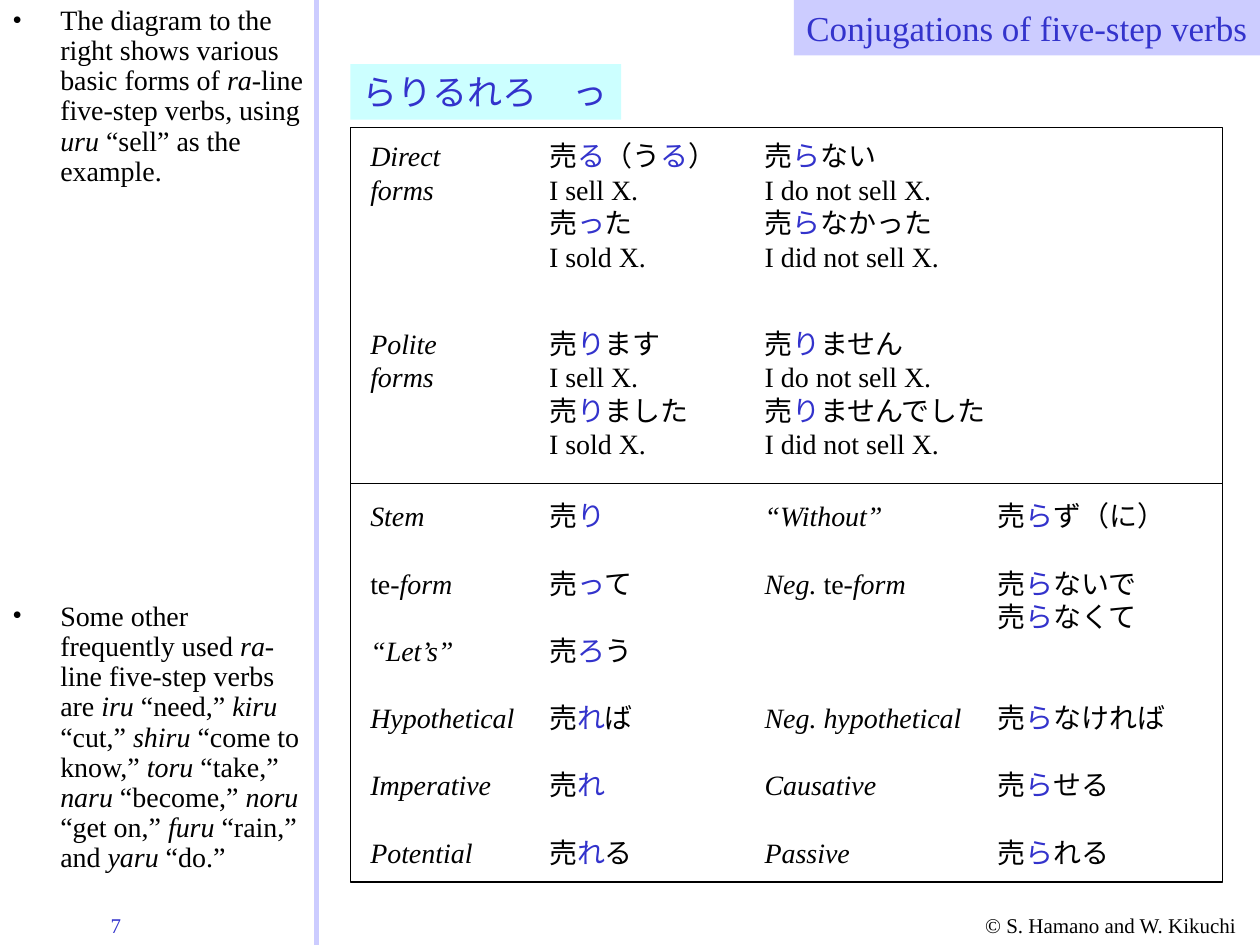
from dataclasses import dataclass

from lxml.etree import SubElement
from pptx import Presentation
from pptx.dml.color import RGBColor
from pptx.enum.shapes import MSO_CONNECTOR, MSO_SHAPE
from pptx.enum.text import MSO_ANCHOR, MSO_AUTO_SIZE, PP_ALIGN
from pptx.oxml.ns import qn
from pptx.util import Inches, Pt


@dataclass(frozen=True)
class Theme:
    font: str = "Times New Roman"
    ink: RGBColor = RGBColor(0, 0, 0)
    accent: RGBColor = RGBColor(0x33, 0x33, 0xCC)
    lavender: RGBColor = RGBColor(0xCC, 0xCC, 0xFF)
    aqua: RGBColor = RGBColor(0xCC, 0xFF, 0xFF)
    title: Pt = Pt(20)
    body: Pt = Pt(16)
    footer: Pt = Pt(12)


theme = Theme()
deck = Presentation()
deck.slide_width, deck.slide_height = Inches(10), Inches(7.5)
slide = deck.slides.add_slide(deck.slide_layouts[6])


def write(box, text, size=theme.body, color=theme.ink, wrap=True):
    """Fill a shape with lines of text; *...* is italic and _..._ is accented."""
    frame = box.text_frame
    frame.word_wrap = wrap
    frame.auto_size = MSO_AUTO_SIZE.SHAPE_TO_FIT_TEXT
    frame.vertical_anchor = MSO_ANCHOR.TOP
    for number, line in enumerate(text.split("\n")):
        paragraph = frame.add_paragraph() if number else frame.paragraphs[0]
        paragraph.alignment = PP_ALIGN.LEFT
        paragraph.font.name, paragraph.font.size = theme.font, size
        paragraph.font.color.rgb = color
        for i, chunk in enumerate(line.split("*")):
            for j, piece in enumerate(chunk.split("_")):
                if not piece:
                    continue
                run = paragraph.add_run()
                run.text = piece
                if i % 2:
                    run.font.italic = True
                if j % 2:
                    run.font.color.rgb = theme.accent
    return frame


def add_rectangle(left, top, width, height, fill=None, line=None):
    box = slide.shapes.add_shape(
        MSO_SHAPE.RECTANGLE, Inches(left), Inches(top), Inches(width), Inches(height))
    box.shadow.inherit = False
    if fill is None:
        box.fill.background()
    else:
        box.fill.solid()
        box.fill.fore_color.rgb = fill
    if line is None:
        box.line.fill.background()
    else:
        box.line.color.rgb = line
        box.line.width = Pt(0.75)
    return box


# Footer
credit = slide.shapes.add_textbox(Inches(7.72), Inches(7.19), Inches(2.28), Inches(0.3))
write(credit, "© S. Hamano and W. Kikuchi", theme.footer)
page_number = slide.shapes.add_textbox(Inches(0.78), Inches(7.19), Inches(0.89), Inches(0.3))
write(page_number, "7", theme.footer, theme.accent)

# Sidebar divider
divider = slide.shapes.add_connector(
    MSO_CONNECTOR.STRAIGHT, Inches(2.51), 0, Inches(2.51), deck.slide_height)
divider.line.color.rgb = theme.lavender
divider.line.width = Pt(3)
SubElement(divider._element.spPr, qn("a:effectLst"))

# Sidebar notes
notes = [
    (0, 1.75, "The diagram to the right shows various basic forms of *ra-*line "
     "five-step verbs, using *uru* “sell” as the example."),
    (4.73, 2.26, "Some other frequently used *ra-*line five-step verbs are *iru* “need,” "
     "*kiru* “cut,” *shiru* “come to know,” *toru* “take,” *naru* “become,” "
     "*noru* “get on,” *furu* “rain,” and *yaru* “do.”"),
]
for top, height, text in notes:
    note = slide.shapes.add_textbox(0, Inches(top), Inches(2.51), Inches(height))
    frame = write(note, text)
    frame.auto_size = MSO_AUTO_SIZE.NONE
    paragraph = frame.paragraphs[0]
    paragraph.line_spacing = 0.9
    properties = paragraph._p.get_or_add_pPr()
    properties.set("marL", str(Inches(0.38)))
    properties.set("indent", str(-Inches(0.38)))
    bullet_font = SubElement(properties, qn("a:buFont"), typeface=theme.font)
    bullet = SubElement(properties, qn("a:buChar"), char="•")
    for part in (bullet_font, bullet):
        properties.insert_element_before(part, "a:tabLst", "a:defRPr", "a:extLst")

# Headings
kana = add_rectangle(2.78, 0.51, 2.15, 0.44, fill=theme.aqua)
write(kana, "らりるれろ　っ", theme.title, theme.accent, wrap=False)
title = add_rectangle(6.3, 0, 3.7, 0.44, fill=theme.lavender)
title_frame = write(
    title, "Conjugations of five-step verbs", theme.title, theme.accent, wrap=False)
title_frame.paragraphs[0].alignment = PP_ALIGN.RIGHT

# Frames around the two groups of forms, sharing one edge
frame_top, frame_middle, frame_bottom = 1.01, 3.84, 7
for top, bottom in [(frame_top, frame_middle), (frame_middle, frame_bottom)]:
    add_rectangle(2.78, top, 6.92, bottom - top, line=theme.ink)

# Conjugation grid: each row is its top and its cells, one per column
columns = [(2.84, 1.42), (4.26, 1.7), (5.97, 1.85), (7.82, 1.8)]
wide_column = 2.3
first_top, last_top = 3.91, 6.58
single_rows = [
    ["*Stem*", "売_り_", "*“Without”*", "売_ら_ず（に）"],
    ["te*-form*", "売_っ_て", "*Neg. *te*-form*", "売_ら_ないで\n売_ら_なくて"],
    ["*“Let’s”*", "売_ろ_う"],
    ["*Hypothetical*", "売_れ_ば", "*Neg. hypothetical*", "売_ら_なければ"],
    ["*Imperative*", "売_れ_", "*Causative*", "売_ら_せる"],
    ["*Potential*", "売_れ_る", "*Passive*", "売_ら_れる"],
]
row_step = (last_top - first_top) / (len(single_rows) - 1)
rows = [
    (1.05, ["*Direct*\n*forms*",
            "売_る_（う_る_）\nI sell X.\n売_っ_た\nI sold X.",
            "売_ら_ない\nI do not sell X.\n売_ら_なかった\nI did not sell X."]),
    (2.54, ["*Polite*\n*forms*",
            "売_り_ます\nI sell X.\n売_り_ました\nI sold X.",
            "売_り_ません\nI do not sell X.\n売_り_ませんでした\nI did not sell X."]),
]
rows += [(first_top + i * row_step, cells) for i, cells in enumerate(single_rows)]
for top, cells in rows:
    for i, ((left, width), text) in enumerate(zip(columns, cells)):
        # A row without a fourth cell leaves room for a wider third one
        if i == 2 and len(cells) == 3:
            width = wide_column
        height = 0.1 + 0.27 * len(text.split("\n"))
        form = slide.shapes.add_textbox(
            Inches(left), Inches(top), Inches(width), Inches(height))
        write(form, text)

deck.save("out.pptx")
